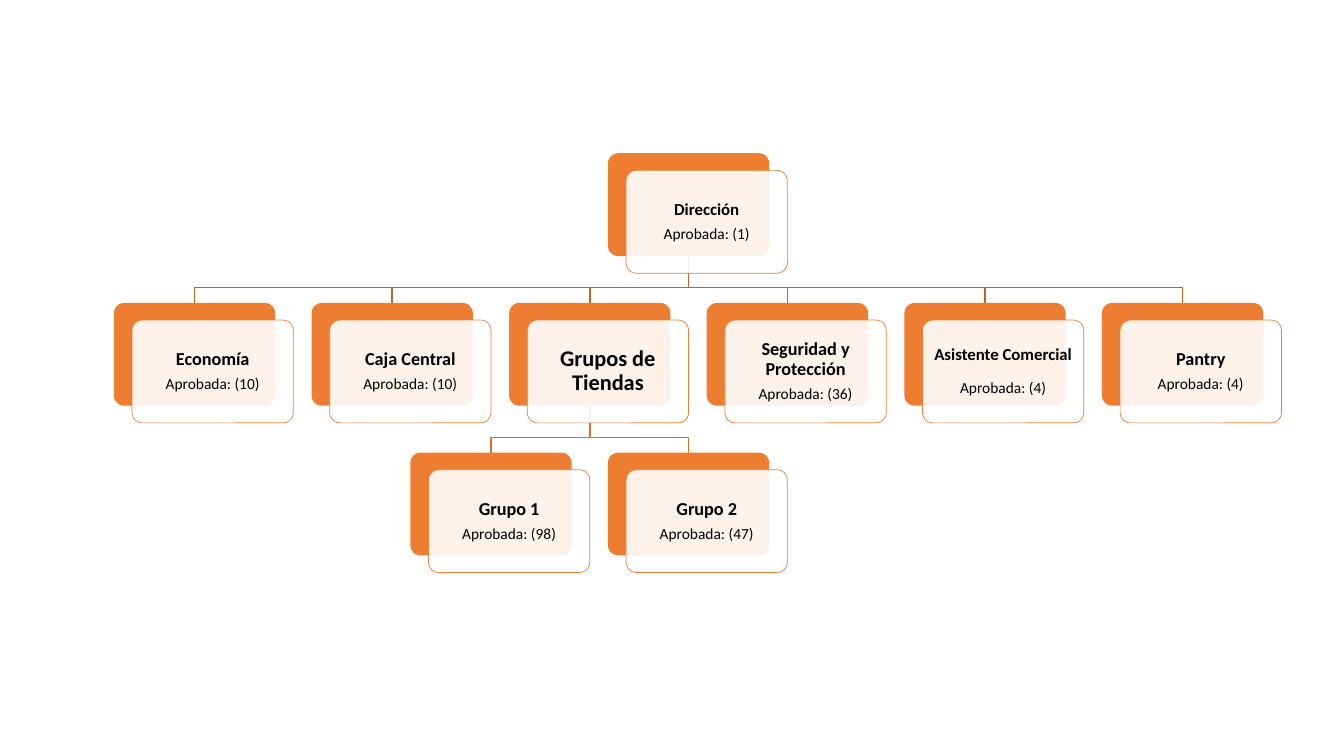
from lxml import etree
from pptx import Presentation
from pptx.dml.color import RGBColor
from pptx.enum.shapes import MSO_SHAPE
from pptx.enum.text import MSO_ANCHOR, PP_ALIGN
from pptx.oxml.ns import qn
from pptx.util import Inches, Pt

ROUNDED = MSO_SHAPE.ROUNDED_RECTANGLE
MIDDLE, CENTER = MSO_ANCHOR.MIDDLE, PP_ALIGN.CENTER

# Content: name, approved posts, column, level, parent, name size, gap below name
UNITS = [
    ("Dirección", "Aprobada: (1)", 2.5, 0, None, 12, 5),
    ("Economía", "Aprobada: (10)", 0, 1, "Dirección", 13, 5),
    ("Caja Central", "Aprobada: (10)", 1, 1, "Dirección", 13, 5),
    ("Grupos de Tiendas", None, 2, 1, "Dirección", 16, 0),
    ("Grupo 1", "Aprobada: (98)", 1.5, 2, "Grupos de Tiendas", 13, 5),
    ("Grupo 2", "Aprobada: (47)", 2.5, 2, "Grupos de Tiendas", 13, 5),
    ("Seguridad y Protección", "Aprobada: (36)", 3, 1, "Dirección", 13, 5),
    ("Asistente Comercial", "Aprobada: (4)", 4, 1, "Dirección", 12, 12),
    ("Pantry", "Aprobada: (4)", 5, 1, "Dirección", 13, 5),
]
FONT = "Calibri"
ORANGE, WHITE, BLACK = "ED7D31", "FFFFFF", "000000"
BRANCH_COLORS = {1: "BE6427", 2: "D7712C"}

# Layout in inches
CHART_LEFT, CHART_TOP = 1.13, 1.52
COLUMN_STEP, LEVEL_STEP = 1.96, 1.485
CARD_W, CARD_H = 1.6, 1.02
OFFSET_X, OFFSET_Y = 0.18, 0.17
BEND_ABOVE_CHILD = 0.15
TEXT_INSET = 0.08


def rgb(color):
    return RGBColor.from_string(color)


def card_corner(column, level):
    return CHART_LEFT + column * COLUMN_STEP, CHART_TOP + level * LEVEL_STEP


def add_branch(slide, parent_corner, child_corner, color):
    start_x = parent_corner[0] + CARD_W / 2
    start_y = parent_corner[1] + CARD_H
    end_x, end_y = child_corner[0] + CARD_W / 2, child_corner[1]
    bend_y = end_y - BEND_ABOVE_CHILD
    route = [(start_x, bend_y), (end_x, bend_y), (end_x, end_y)]
    builder = slide.shapes.build_freeform(Inches(start_x), Inches(start_y))
    builder.add_line_segments([(Inches(x), Inches(y)) for x, y in route], close=False)
    branch = builder.convert_to_shape()
    branch.shadow.inherit = False
    branch.fill.background()
    branch.line.color.rgb = rgb(color)
    branch.line.width = Pt(1)


def add_panel(slide, left, top, fill):
    panel = slide.shapes.add_shape(
        ROUNDED, Inches(left), Inches(top), Inches(CARD_W), Inches(CARD_H))
    panel.adjustments[0] = 0.1
    panel.shadow.inherit = False
    panel.fill.solid()
    panel.fill.fore_color.rgb = rgb(fill)
    return panel


def add_card(slide, corner, name, approved, name_size, gap):
    left, top = corner
    back = add_panel(slide, left, top, ORANGE)
    back.line.fill.background()

    # Translucent front panel carries the text
    front = add_panel(slide, left + OFFSET_X, top + OFFSET_Y, WHITE)
    white = front.fill._xPr.find(qn("a:solidFill"))[0]
    etree.SubElement(white, qn("a:alpha"), val="90000")
    front.line.color.rgb = rgb(ORANGE)
    front.line.width = Pt(0.5)

    frame = front.text_frame
    frame.word_wrap = True
    frame.vertical_anchor = MIDDLE
    frame.margin_left = frame.margin_right = Inches(TEXT_INSET)
    frame.margin_top = frame.margin_bottom = Inches(TEXT_INSET)
    frame.text = "\n".join(filter(None, (name, approved)))
    styles = [(name_size, True, gap), (11, False, 0)]
    for paragraph, (size, bold, space) in zip(frame.paragraphs, styles):
        paragraph.alignment = CENTER
        paragraph.line_spacing = 0.9
        paragraph.space_after = Pt(space)
        paragraph.font.name = FONT
        paragraph.font.size = Pt(size)
        paragraph.font.bold = bold
        paragraph.font.color.rgb = rgb(BLACK)


def main():
    presentation = Presentation()
    presentation.slide_width = Inches(13.33)
    presentation.slide_height = Inches(7.5)
    slide = presentation.slides.add_slide(presentation.slide_layouts[6])

    corners = {name: card_corner(column, level)
               for name, _, column, level, *_ in UNITS}

    # Branches lie behind the cards
    for name, _, _, level, parent, *_ in UNITS:
        if parent:
            add_branch(slide, corners[parent], corners[name], BRANCH_COLORS[level])

    # Cards
    for name, approved, _, _, _, name_size, gap in UNITS:
        add_card(slide, corners[name], name, approved, name_size, gap)

    presentation.save("out.pptx")


if __name__ == "__main__":
    main()
